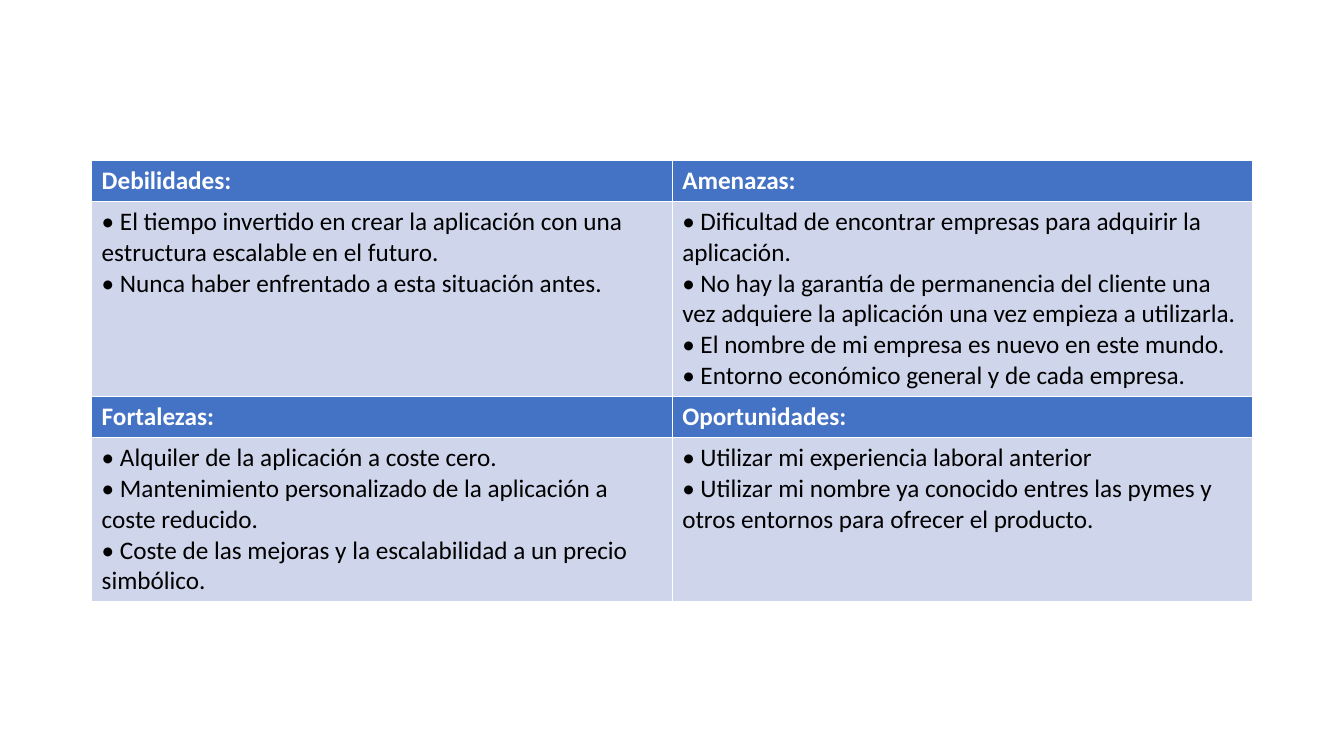
from pptx import Presentation
from pptx.dml.color import RGBColor
from pptx.util import Cm, Pt

SWOT = [
    [
        ("Debilidades:", [
            "El tiempo invertido en crear la aplicación con una estructura escalable en el futuro.",
            "Nunca haber enfrentado a esta situación antes.",
        ]),
        ("Amenazas:", [
            "Dificultad de encontrar empresas para adquirir la aplicación.",
            "No hay la garantía de permanencia del cliente una vez adquiere la aplicación una vez empieza a utilizarla.",
            "El nombre de mi empresa es nuevo en este mundo.",
            "Entorno económico general y de cada empresa.",
        ]),
    ],
    [
        ("Fortalezas:", [
            "Alquiler de la aplicación a coste cero.",
            "Mantenimiento personalizado de la aplicación a coste reducido.",
            "Coste de las mejoras y la escalabilidad a un precio simbólico.",
        ]),
        ("Oportunidades:", [
            "Utilizar mi experiencia laboral anterior",
            "Utilizar mi nombre ya conocido entres las pymes y otros entornos para ofrecer el producto.",
        ]),
    ],
]
HEAD = Cm(1.03)
BODIES = [Cm(4.92), Cm(4.11)]
WIDTH = Cm(29.26)

BLUE = RGBColor(0x44, 0x72, 0xC4)
PALE = RGBColor(0xCF, 0xD5, 0xEA)
WHITE = RGBColor(0xFF, 0xFF, 0xFF)
BLACK = RGBColor(0x00, 0x00, 0x00)


def write(cell, lines, fill, color, bold):
    cell.fill.solid()
    cell.fill.fore_color.rgb = fill
    cell.text = "\n".join(lines)
    for para in cell.text_frame.paragraphs:
        font = para.font
        font.name = "Calibri"
        font.size = Pt(18)
        font.bold = bold
        font.color.rgb = color


def main():
    deck = Presentation()
    deck.slide_width = Cm(33.87)
    deck.slide_height = Cm(19.05)
    slide = deck.slides.add_slide(deck.slide_layouts[6])

    height = 2 * HEAD + sum(BODIES)
    frame = slide.shapes.add_table(4, 2, Cm(2.31), Cm(4.05), WIDTH, height)
    table = frame.table
    table.horz_banding = False

    for pair, (topics, body) in enumerate(zip(SWOT, BODIES)):
        top = 2 * pair
        table.rows[top].height = HEAD
        table.rows[top + 1].height = body
        for col, (title, points) in enumerate(topics):
            write(table.cell(top, col), [title], BLUE, WHITE, True)
            items = ["• " + point for point in points]
            write(table.cell(top + 1, col), items, PALE, BLACK, False)

    deck.save("out.pptx")


if __name__ == "__main__":
    main()
